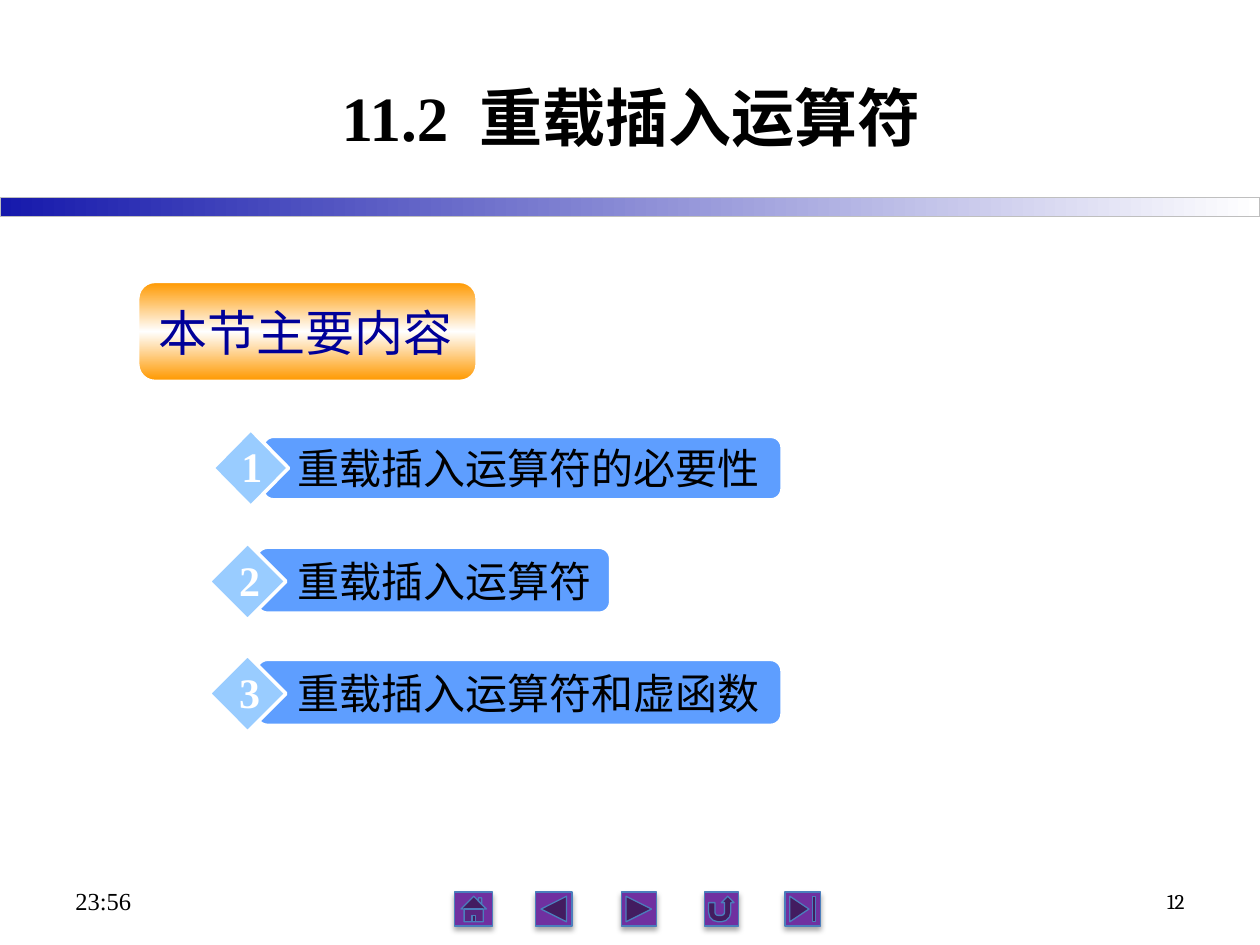
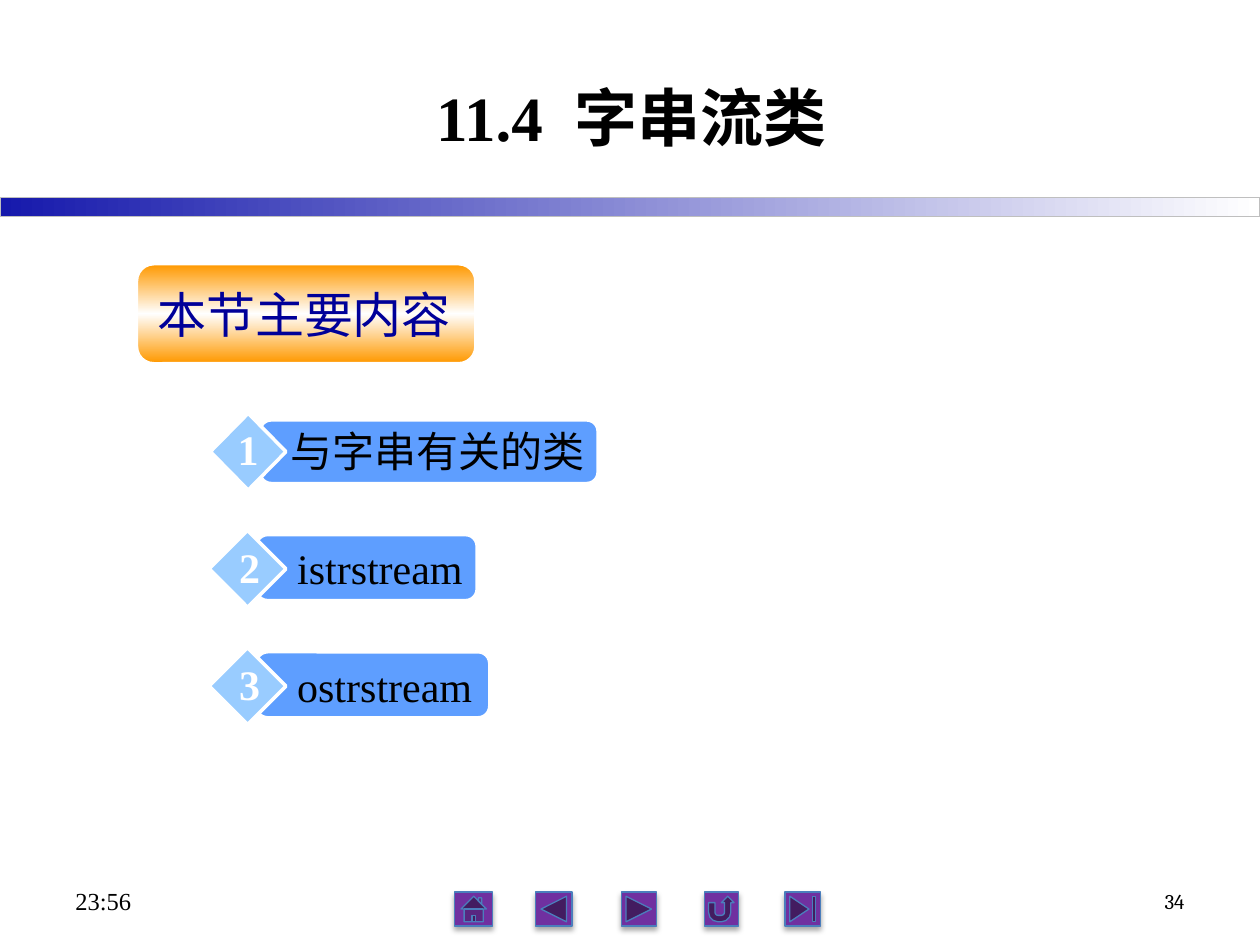
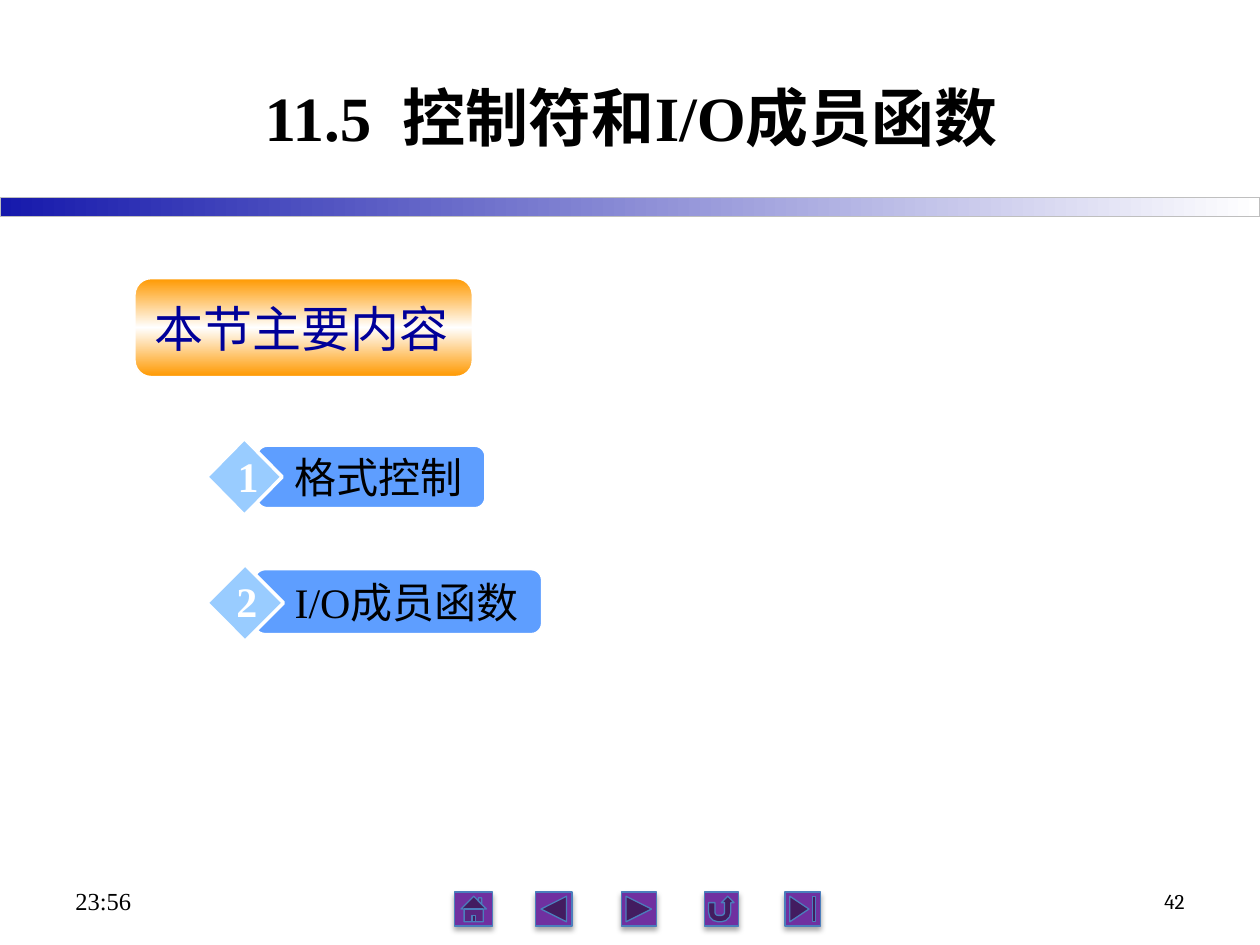
from dataclasses import dataclass

from lxml import etree
from pptx import Presentation
from pptx.dml.color import RGBColor
from pptx.enum.shapes import MSO_SHAPE
from pptx.enum.text import MSO_ANCHOR, MSO_AUTO_SIZE, PP_ALIGN
from pptx.oxml.ns import qn
from pptx.util import Inches, Pt

RECTANGLE = MSO_SHAPE.RECTANGLE
ROUNDED = MSO_SHAPE.ROUNDED_RECTANGLE
DIAMOND = MSO_SHAPE.DIAMOND
HOME = MSO_SHAPE.ACTION_BUTTON_HOME
PREVIOUS = MSO_SHAPE.ACTION_BUTTON_BACK_OR_PREVIOUS
NEXT = MSO_SHAPE.ACTION_BUTTON_FORWARD_OR_NEXT
RETURN = MSO_SHAPE.ACTION_BUTTON_RETURN
END = MSO_SHAPE.ACTION_BUTTON_END
LEFT, CENTER, RIGHT = PP_ALIGN.LEFT, PP_ALIGN.CENTER, PP_ALIGN.RIGHT
TOP, MIDDLE = MSO_ANCHOR.TOP, MSO_ANCHOR.MIDDLE
NO_FIT, GROW = MSO_AUTO_SIZE.NONE, MSO_AUTO_SIZE.SHAPE_TO_FIT_TEXT

BLACK = RGBColor(0x00, 0x00, 0x00)
WHITE = RGBColor(0xFF, 0xFF, 0xFF)
BAND_BLUE = RGBColor(0x16, 0x19, 0xAC)
BAND_LINE = RGBColor(0xBF, 0xBF, 0xBF)
BUTTON_FILL = RGBColor(0x70, 0x30, 0xA0)
BUTTON_LINE = RGBColor(0x4B, 0x7E, 0xBC)
ORANGE = RGBColor(0xFF, 0x99, 0x00)
HEADING_BLUE = RGBColor(0x00, 0x00, 0x99)
BAR_BLUE = RGBColor(0x5E, 0x9E, 0xFF)
DIAMOND_BLUE = RGBColor(0x99, 0xCC, 0xFF)

SERIF, SANS, PAGE_FONT = "Times New Roman", "Arial", "Cambria"
LOW_TEXT = (0.09, 0.01)
EVEN_TEXT = (0.05, 0.05)


@dataclass(frozen=True)
class TextStyle:
    size: int
    font: str = SERIF
    color: RGBColor = BLACK
    bold: bool = False
    align: PP_ALIGN = LEFT
    anchor: MSO_ANCHOR = TOP
    fit: MSO_AUTO_SIZE = GROW
    wrap: bool = True
    insets: tuple[float, float] = EVEN_TEXT


@dataclass(frozen=True)
class RowStyle:
    bar_height: float
    diamond_left: float
    diamond_top: float
    diamond_width: float
    text_top: float
    insets: tuple[float, float]


@dataclass(frozen=True)
class Topic:
    text: str
    left: float
    top: float
    width: float
    text_left: float
    number_center: float
    number_top: float
    font: str = SERIF


@dataclass(frozen=True)
class Section:
    title: str
    page: str
    heading_left: float
    heading_top: float
    topics: tuple[Topic, ...]


TITLE = TextStyle(36, bold=True, align=CENTER, anchor=MIDDLE, fit=NO_FIT)
TIME = TextStyle(14, anchor=MIDDLE, fit=NO_FIT)
PAGE = TextStyle(12, PAGE_FONT, align=RIGHT, anchor=MIDDLE, fit=NO_FIT)
HEADING = TextStyle(28, SANS, HEADING_BLUE, insets=LOW_TEXT)
NUMBER = TextStyle(24, color=WHITE, bold=True, align=CENTER, wrap=False)

FIRST_ROW = RowStyle(0.49, -0.4, -0.06, 0.6, -0.05, LOW_TEXT)
LATER_ROW = RowStyle(0.51, -0.38, -0.04, 0.61, 0.01, EVEN_TEXT)

BUTTONS = (
    (PREVIOUS, 4.25, 0.29),
    (NEXT, 4.93, 0.28),
    (HOME, 3.61, 0.3),
    (END, 6.23, 0.28),
    (RETURN, 5.59, 0.27),
)

SECTIONS = (
    Section("11.2  重载插入运算符", "12", 1.1, 2.24, (
        Topic("重载插入运算符的必要性", 2.09, 3.47, 4.11, 2.26, 2.0, 3.45),
        Topic("重载插入运算符", 2.04, 4.35, 2.8, 2.26, 1.98, 4.35),
        Topic("重载插入运算符和虚函数", 2.04, 5.24, 4.16, 2.26, 1.98, 5.24),
    )),
    Section("11.4  字串流类", "34", 1.09, 2.1, (
        Topic("与字串有关的类", 2.07, 3.34, 2.67, 2.21, 1.97, 3.31),
        Topic("istrstream", 2.04, 4.25, 1.74, 2.26, 1.98, 4.25),
        Topic("ostrstream", 2.04, 5.18, 1.84, 2.26, 1.98, 5.18),
    )),
    Section("11.5  控制符和I/O成员函数", "42", 1.07, 2.21, (
        Topic("格式控制", 2.04, 3.54, 1.81, 2.24, 1.97, 3.53, SANS),
        Topic("I/O成员函数", 2.02, 4.52, 2.28, 2.24, 1.96, 4.52),
    )),
)


def add_box(slide, kind, left, top, width, height, line, weight, fill=None):
    shape = slide.shapes.add_shape(
        kind, Inches(left), Inches(top), Inches(width), Inches(height))
    shape.shadow.inherit = False
    shape.line.color.rgb = line
    shape.line.width = Pt(weight)
    if fill is not None:
        shape.fill.solid()
        shape.fill.fore_color.rgb = fill
    return shape


def fill_gradient(shape, colors: tuple[RGBColor, ...], angle: int) -> None:
    shape.fill.gradient()
    shape.fill.gradient_angle = angle
    stops = shape._element.spPr.find(qn("a:gradFill")).find(qn("a:gsLst"))
    for stop in list(stops):
        stops.remove(stop)
    for index, color in enumerate(colors):
        position = 100000 * index // (len(colors) - 1)
        stop = etree.SubElement(stops, qn("a:gs"), pos=str(position))
        etree.SubElement(stop, qn("a:srgbClr"), val=str(color))


def cast_shadow(shape) -> None:
    effects = shape._element.spPr.find(qn("a:effectLst"))
    shadow = etree.SubElement(
        effects, qn("a:outerShdw"), blurRad=str(Pt(3.1)), dist=str(Pt(1.8)),
        dir="5400000", rotWithShape="0")
    color = etree.SubElement(shadow, qn("a:srgbClr"), val=str(BLACK))
    etree.SubElement(color, qn("a:alpha"), val="35000")


def write_text(shape, text: str, style: TextStyle) -> None:
    frame = shape.text_frame
    frame.text = text
    frame.word_wrap = style.wrap
    frame.auto_size = style.fit
    frame.vertical_anchor = style.anchor
    frame.margin_left = frame.margin_right = Inches(0.1)
    frame.margin_top, frame.margin_bottom = map(Inches, style.insets)
    paragraph = frame.paragraphs[0]
    paragraph.alignment = style.align
    for run in paragraph.runs:
        run.font.size = Pt(style.size)
        run.font.name = style.font
        run.font.bold = style.bold
        run.font.color.rgb = style.color


def add_text(slide, text: str, left: float, top: float, width: float,
             height: float, style: TextStyle) -> None:
    shape = slide.shapes.add_textbox(
        Inches(left), Inches(top), Inches(width), Inches(height))
    write_text(shape, text, style)


def decorate_layout(layout, slide) -> None:
    band = add_box(slide, RECTANGLE, 0, 1.57, 10, 0.15, BAND_LINE, 0.75)
    fill_gradient(band, (BAND_BLUE, WHITE), 0)
    decorations = [band]
    for kind, left, width in BUTTONS:
        button = add_box(slide, kind, left, 7.08, width, 0.27,
                         BUTTON_LINE, 0.75, BUTTON_FILL)
        cast_shadow(button)
        decorations.append(button)
    for shape in decorations:
        layout.shapes._spTree.append(shape._element)


def add_title(slide, text: str) -> None:
    title = slide.shapes.title
    title.left, title.top = Inches(1.11), Inches(0.3)
    title.width, title.height = Inches(7.8), Inches(1.25)
    write_text(title, text, TITLE)


def add_heading(slide, left: float, top: float) -> None:
    box = add_box(slide, ROUNDED, left, top, 2.68, 0.78, WHITE, 1)
    fill_gradient(box, (ORANGE, WHITE, ORANGE), 90)
    add_text(slide, "本节主要内容", left + 0.06, top + 0.07, 2.56, 0.57, HEADING)


def add_topic(slide, number: int, topic: Topic) -> None:
    row = FIRST_ROW if number == 1 else LATER_ROW
    add_box(slide, ROUNDED, topic.left, topic.top, topic.width,
            row.bar_height, WHITE, 1, BAR_BLUE)
    add_box(slide, DIAMOND, topic.left + row.diamond_left,
            topic.top + row.diamond_top, row.diamond_width, 0.61,
            WHITE, 2, DIAMOND_BLUE)
    text_width = topic.left + topic.width - topic.text_left
    add_text(slide, topic.text, topic.text_left, topic.top + row.text_top,
             text_width, 0.5, TextStyle(24, topic.font, insets=row.insets))
    add_text(slide, str(number), topic.number_center - 0.19,
             topic.number_top, 0.38, 0.5, NUMBER)


def add_section(slide, section: Section) -> None:
    add_title(slide, section.title)
    add_text(slide, "23:56", 0.5, 6.95, 2.33, 0.4, TIME)
    add_text(slide, section.page, 7.17, 6.95, 2.33, 0.4, PAGE)
    add_heading(slide, section.heading_left, section.heading_top)
    for number, topic in enumerate(section.topics, start=1):
        add_topic(slide, number, topic)


def main() -> None:
    presentation = Presentation()
    presentation.slide_width = Inches(10)
    presentation.slide_height = Inches(7.5)
    layout = presentation.slide_layouts[5]
    slides = [presentation.slides.add_slide(layout) for _ in SECTIONS]
    decorate_layout(layout, slides[0])
    for slide, section in zip(slides, SECTIONS):
        add_section(slide, section)
    presentation.save("out.pptx")


main()
